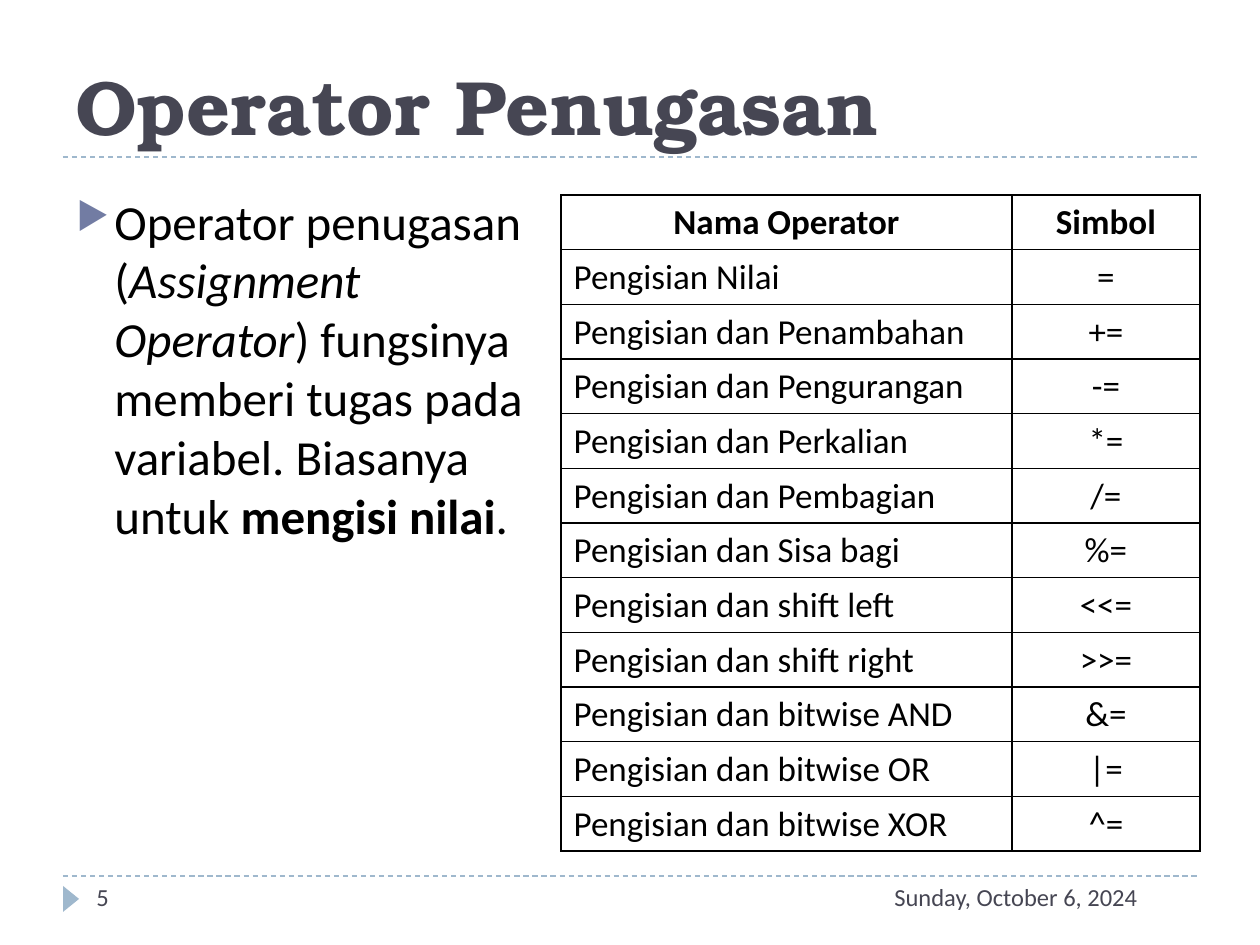
from lxml.etree import SubElement
from pptx import Presentation
from pptx.dml.color import RGBColor
from pptx.enum.dml import MSO_LINE
from pptx.enum.shapes import MSO_CONNECTOR, MSO_SHAPE
from pptx.enum.text import MSO_ANCHOR, PP_ALIGN
from pptx.oxml import parse_xml
from pptx.oxml.ns import nsdecls, qn
from pptx.util import Emu, Pt

SCALE = 914400 // 126
BLACK = "000000"
SLATE = "464653"
PALE_BLUE = "9FB8CD"

BODY_RUNS = [
    ("Operator penugasan (", None, None),
    ("Assignment Operator", None, True),
    (") fungsinya memberi tugas pada variabel. Biasanya untuk ", None, None),
    ("mengisi nilai", True, None),
    (".", None, None),
]

OPERATORS = [
    ("Nama Operator", "Simbol"),
    ("Pengisian Nilai", "="),
    ("Pengisian dan Penambahan", "+="),
    ("Pengisian dan Pengurangan", "-="),
    ("Pengisian dan Perkalian", "*="),
    ("Pengisian dan Pembagian", "/="),
    ("Pengisian dan Sisa bagi", "%="),
    ("Pengisian dan shift left", "<<="),
    ("Pengisian dan shift right", ">>="),
    ("Pengisian dan bitwise AND", "&="),
    ("Pengisian dan bitwise OR", "|="),
    ("Pengisian dan bitwise XOR", "^="),
]


def px(n):
    return Emu(n * SCALE)


def rgb(color):
    return RGBColor.from_string(color)


def set_font(p, size, color, name="Calibri", bold=False):
    p.font.size = Pt(size)
    p.font.name = name
    p.font.bold = bold
    p.font.color.rgb = rgb(color)


def add_rule(s, y):
    line = s.shapes.add_connector(
        MSO_CONNECTOR.STRAIGHT, px(63), px(y), px(1197), px(y))
    line.line.color.rgb = rgb(PALE_BLUE)
    line.line.width = Pt(0.75)
    line.line.dash_style = MSO_LINE.DASH
    SubElement(line._element.spPr, qn("a:effectLst"))


def add_marker(s, x, y, w, h):
    sp = s.shapes.add_shape(
        MSO_SHAPE.ISOSCELES_TRIANGLE, px(x), px(y), px(w), px(h))
    sp.rotation = 90
    sp.shadow.inherit = False
    sp.fill.solid()
    sp.fill.fore_color.rgb = rgb(PALE_BLUE)
    sp.line.fill.background()


def add_text(s, x, y, w, h, runs, size, color, anchor=MSO_ANCHOR.TOP, **font):
    tf = s.shapes.add_textbox(px(x), px(y), px(w), px(h)).text_frame
    tf.word_wrap = True
    tf.vertical_anchor = anchor
    p = tf.paragraphs[0]
    set_font(p, size, color, **font)
    for text, bold, italic in runs:
        r = p.add_run()
        r.text = text
        r.font.bold = bold
        r.font.italic = italic
    return p


def add_bullet(p, char, color, percent, indent):
    p.space_before = Pt(6)
    pPr = p._p.get_or_add_pPr()
    pPr.set("marL", str(px(indent)))
    pPr.set("indent", str(-px(indent)))
    bu_clr = parse_xml(
        f'<a:buClr {nsdecls("a")}><a:srgbClr val="{color}"/></a:buClr>')
    bu_size = parse_xml(f'<a:buSzPct {nsdecls("a")} val="{percent * 1000}"/>')
    bu_char = parse_xml(f'<a:buChar {nsdecls("a")} char="{char}"/>')
    pPr.find(qn("a:spcBef")).addnext(bu_clr)
    bu_clr.addnext(bu_size)
    bu_size.addnext(bu_char)


def set_borders(cell, color, width):
    tcPr = cell._tc.get_or_add_tcPr()
    for i, side in enumerate("LRTB"):
        tcPr.insert(i, parse_xml(
            f'<a:ln{side} {nsdecls("a")} w="{Pt(width)}"><a:solidFill>'
            f'<a:srgbClr val="{color}"/></a:solidFill></a:ln{side}>'))


def add_operator_table(s, x, y, col_widths, row_height):
    table = s.shapes.add_table(
        len(OPERATORS), len(col_widths), px(x), px(y),
        px(sum(col_widths)), px(row_height * len(OPERATORS))).table
    table.first_row = False
    table.horz_banding = False
    for col, width in zip(table.columns, col_widths):
        col.width = px(width)
    for i, values in enumerate(OPERATORS):
        table.rows[i].height = px(row_height)
        for j, value in enumerate(values):
            cell = table.cell(i, j)
            cell.text = value
            cell.fill.background()
            cell.vertical_anchor = MSO_ANCHOR.MIDDLE if i else MSO_ANCHOR.TOP
            p = cell.text_frame.paragraphs[0]
            p.alignment = PP_ALIGN.CENTER if i == 0 or j == 1 else PP_ALIGN.LEFT
            set_font(p, 20, BLACK, bold=i == 0)
            set_borders(cell, BLACK, 1)


def main():
    prs = Presentation()
    prs.slide_width, prs.slide_height = px(1260), px(945)
    s = prs.slides.add_slide(prs.slide_layouts[6])
    for y in (876, 157):
        add_rule(s, y)
    add_marker(s, 58, 891, 26, 16)
    add_text(s, 63, 21, 1134, 136, [("Operator Penugasan", None, None)], 44,
             SLATE, MSO_ANCHOR.BOTTOM, name="TeX Gyre Bonum", bold=True)
    add_text(s, 882, 876, 315, 50,
             [("Sunday, October 6, 2024", None, None)], 14, SLATE)
    add_text(s, 84, 876, 273, 50, [("5", None, None)], 14, SLATE)
    body = add_text(s, 64, 185, 476, 582, BODY_RUNS, 28, BLACK)
    add_bullet(body, "▶", "727CA3", 76, 38)
    add_operator_table(s, 561, 195, (451, 188), 52)
    prs.save("out.pptx")


if __name__ == "__main__":
    main()
